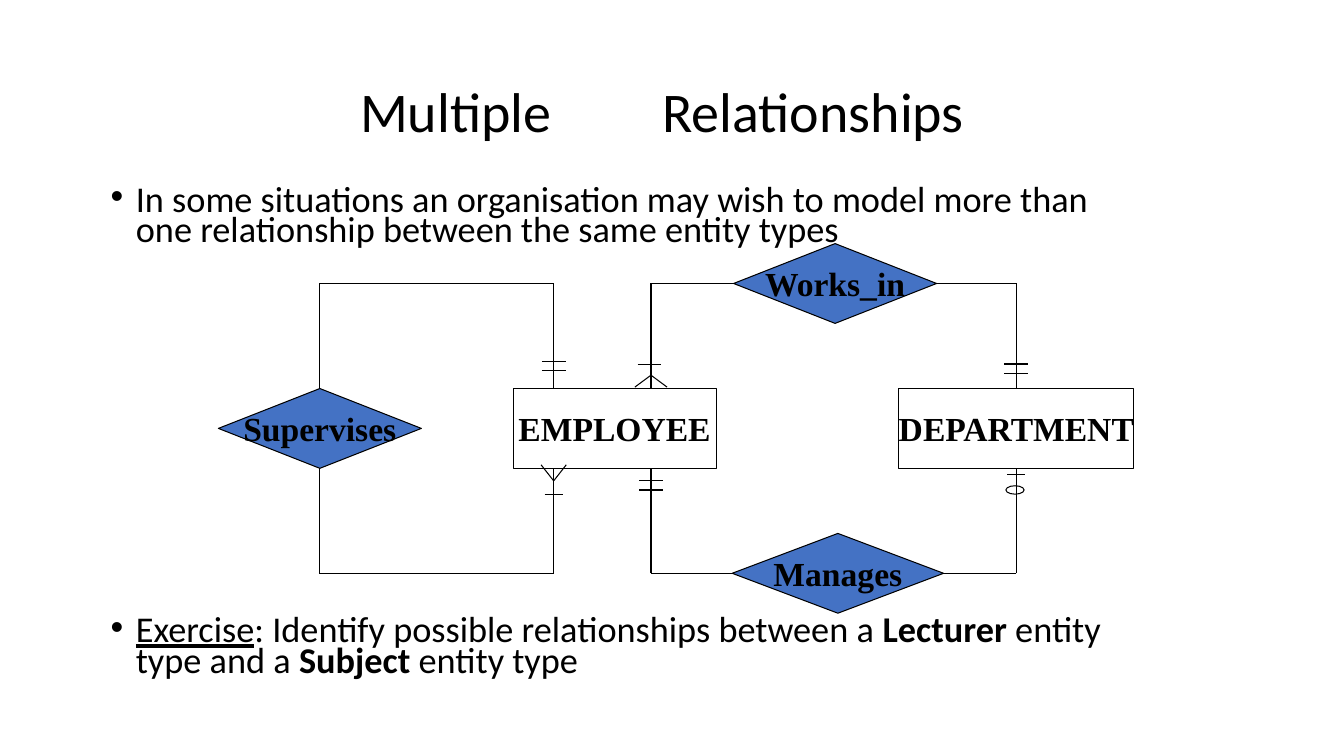
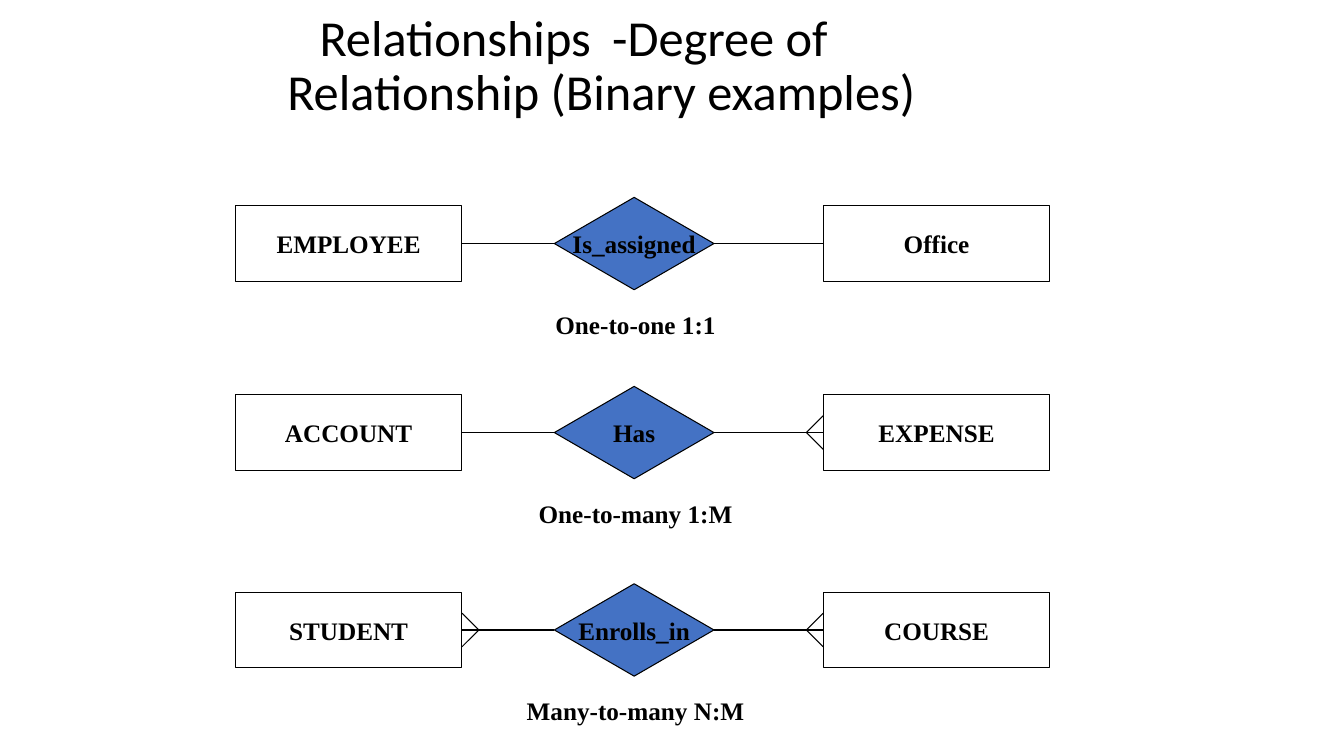
from itertools import pairwise

from lxml.etree import SubElement
from pptx import Presentation
from pptx.dml.color import RGBColor
from pptx.enum.shapes import MSO_CONNECTOR, MSO_SHAPE as SHAPE
from pptx.enum.text import MSO_ANCHOR, MSO_AUTO_SIZE, PP_ALIGN
from pptx.oxml.ns import qn
from pptx.util import Pt

BLACK, BLUE = "000000", "4472C4"
HEADING_FONT, LABEL_FONT = "Calibri", "Times New Roman"


def color(value):
    return RGBColor.from_string(value)


class Deck:
    """Style of the diagrams and the slide being drawn."""

    def __init__(self):
        self.prs = Presentation()
        self.prs.slide_width, self.prs.slide_height = Pt(960), Pt(540)
        self.label_size = 24

    def new_slide(self, label_size):
        self.slide = self.prs.slides.add_slide(self.prs.slide_layouts[5])
        self.label_size = label_size

    def style(self, font, name, size, bold=False):
        font.name, font.size, font.bold = name, Pt(size), bold
        font.color.rgb = color(BLACK)

    def title(self, text, left, top, size, stops):
        heading = self.slide.shapes.title
        heading.left, heading.top = Pt(left), Pt(top)
        heading.width, heading.height = Pt(696), Pt(84)
        frame = heading.text_frame
        frame.text = text
        frame.auto_size = MSO_AUTO_SIZE.NONE
        frame.vertical_anchor = MSO_ANCHOR.MIDDLE
        paragraph = frame.paragraphs[0]
        paragraph.alignment = PP_ALIGN.LEFT
        paragraph.line_spacing = 0.9
        tabs = SubElement(paragraph._p.get_or_add_pPr(), qn("a:tabLst"))
        for stop in stops:
            SubElement(tabs, qn("a:tab"), pos=str(Pt(stop)), algn="l")
        for run in paragraph.runs:
            self.style(run.font, HEADING_FONT, size)

    def bullets(self, left, top, width, height, items, gap):
        box = self.slide.shapes.add_textbox(Pt(left), Pt(top), Pt(width), Pt(height))
        frame = box.text_frame
        frame.word_wrap = True
        for index, pieces in enumerate(items):
            paragraph = frame.add_paragraph() if index else frame.paragraphs[0]
            paragraph.line_spacing = 0.7
            if index:
                paragraph.space_before = Pt(gap)
            props = paragraph._p.get_or_add_pPr()
            props.set("marL", str(Pt(18)))
            props.set("indent", str(-Pt(18)))
            SubElement(props, qn("a:buFont"), typeface="Arial")
            SubElement(props, qn("a:buChar"), char="•")
            for text, emphasis in pieces:
                run = paragraph.add_run()
                run.text = text
                self.style(run.font, HEADING_FONT, 25.9, emphasis == "bold")
                run.font.underline = emphasis == "underline"

    def label(self, frame, text):
        frame.text = text
        frame.word_wrap = False
        frame.vertical_anchor = MSO_ANCHOR.MIDDLE
        frame.margin_left = frame.margin_right = 0
        paragraph = frame.paragraphs[0]
        paragraph.alignment = PP_ALIGN.CENTER
        self.style(paragraph.runs[0].font, LABEL_FONT, self.label_size, True)

    def outline(self, kind, left, top, width, height, fill=None):
        shape = self.slide.shapes.add_shape(kind, Pt(left), Pt(top), Pt(width), Pt(height))
        shape.shadow.inherit = False
        if fill:
            shape.fill.solid()
            shape.fill.fore_color.rgb = color(fill)
        else:
            shape.fill.background()
        shape.line.color.rgb = color(BLACK)
        shape.line.width = Pt(0.75)
        return shape

    def entity(self, text, *place):
        self.label(self.outline(SHAPE.RECTANGLE, *place).text_frame, text)

    def relationship(self, text, *place):
        self.label(self.outline(SHAPE.DIAMOND, *place, fill=BLUE).text_frame, text)

    def caption(self, text, center, middle):
        box = self.slide.shapes.add_textbox(Pt(center - 90), Pt(middle - 14.5), Pt(180), Pt(29))
        self.label(box.text_frame, text)

    def route(self, *points):
        for start, end in pairwise(points):
            line = self.slide.shapes.add_connector(
                MSO_CONNECTOR.STRAIGHT, *map(Pt, start + end))
            line.line.color.rgb = color(BLACK)
            line.line.width = Pt(0.75)
            SubElement(line._element.spPr, qn("a:effectLst"))

    def ticks(self, center, *heights, half=8.5):
        for y in heights:
            self.route((center - half, y), (center + half, y))


def multiple_relationships(deck):
    deck.new_slide(24)
    deck.title("\tMultiple\tRelationships", 106, 40, 40, (144, 360))
    deck.bullets(72, 130.5, 756, 394, [
        [("In some situations an organisation may wish to model more than "
          "one relationship between the same entity types", "")],
        [("Exercise", "underline"),
         (": Identify possible relationships between a ", ""),
         ("Lecturer", "bold"), (" entity type and a ", ""),
         ("Subject", "bold"), (" entity type", "")],
    ], 264)

    upper, box_top, box_bottom, lower = 202.5, 277.5, 334.5, 409.5
    supervisor, staff, worker, department = 228, 395.5, 465, 726
    height = box_bottom - box_top
    deck.entity("EMPLOYEE", 366.5, box_top, 145, height)
    deck.entity("DEPARTMENT", 642, box_top, 168, height)
    deck.relationship("Works_in", 524, upper - height / 2, 145, height)
    deck.relationship("Supervises", 156, box_top, 145, height)
    deck.relationship("Manages", 523, lower - height / 2, 151, height)

    for edge, row, left, right in ((box_top, upper, 524, 669),
                                   (box_bottom, lower, 523, 674)):
        deck.route((supervisor, edge), (supervisor, row), (staff, row), (staff, edge))
        deck.route((worker, edge), (worker, row), (left, row))
        deck.route((right, row), (department, row), (department, edge))

    deck.ticks(staff, 258.5, 265)
    deck.ticks(worker, 343.5, 350)
    deck.ticks(department, 260, 266.5)
    deck.ticks(worker - 1, 260.5)
    deck.ticks(staff, 353, half=6.5)
    deck.ticks(department, 339, half=6.5)
    deck.route((worker - 11.5, 276.5), (worker, 268), (worker + 11.5, 276.5))
    deck.route((staff - 9, 332), (staff, 343.5), (staff + 9, 332))
    deck.outline(SHAPE.OVAL, 718.5, 347, 13, 6)


def binary_examples(deck):
    deck.new_slide(18)
    deck.title("\t\tRelationships\t-Degree of\v\tRelationship (Binary examples)",
               132, 6, 36, (66, 89, 298))
    first_right, diamond_left, diamond_right, second_left = 330, 396, 510, 588
    reach = 12
    examples = (
        (174, "EMPLOYEE", "Is_assigned", "Office", "One-to-one 1:1", ()),
        (309, "ACCOUNT", "Has", "EXPENSE", "One-to-many 1:M", ((second_left, -1),)),
        (450, "STUDENT", "Enrolls_in", "COURSE", "Many-to-many N:M",
         ((second_left, -1), (first_right, 1))),
    )
    for middle, first, verb, second, degree, many_ends in examples:
        deck.entity(first, first_right - 162, middle - 27, 162, 54)
        deck.entity(second, second_left, middle - 27, 162, 54)
        deck.relationship(verb, diamond_left, middle - 33, diamond_right - diamond_left, 66)
        deck.route((first_right, middle), (diamond_left, middle))
        deck.route((diamond_right, middle), (second_left, middle))
        deck.caption(degree, 454, middle + 57.5)
        for edge, outward in many_ends:
            deck.route((edge, middle - reach), (edge + outward * reach, middle),
                       (edge, middle + reach))


def main():
    deck = Deck()
    multiple_relationships(deck)
    binary_examples(deck)
    deck.prs.save("out.pptx")


if __name__ == "__main__":
    main()
